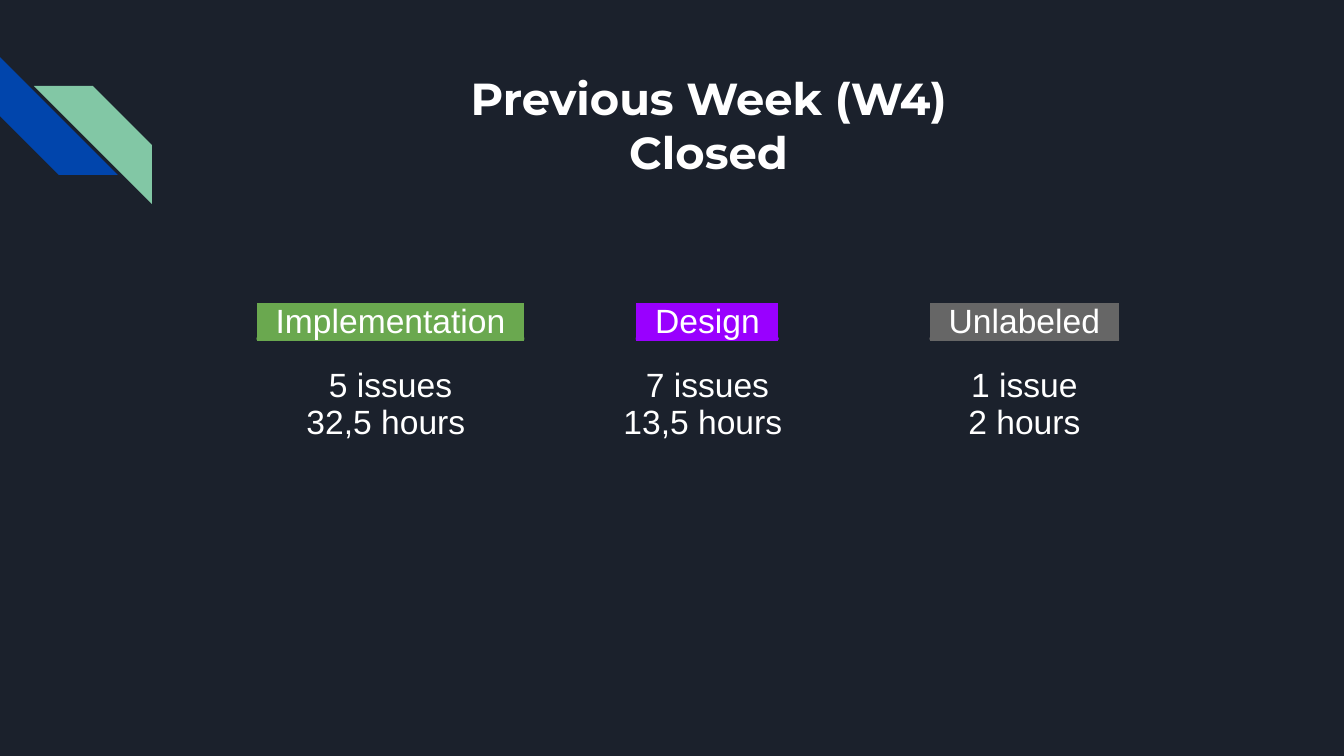
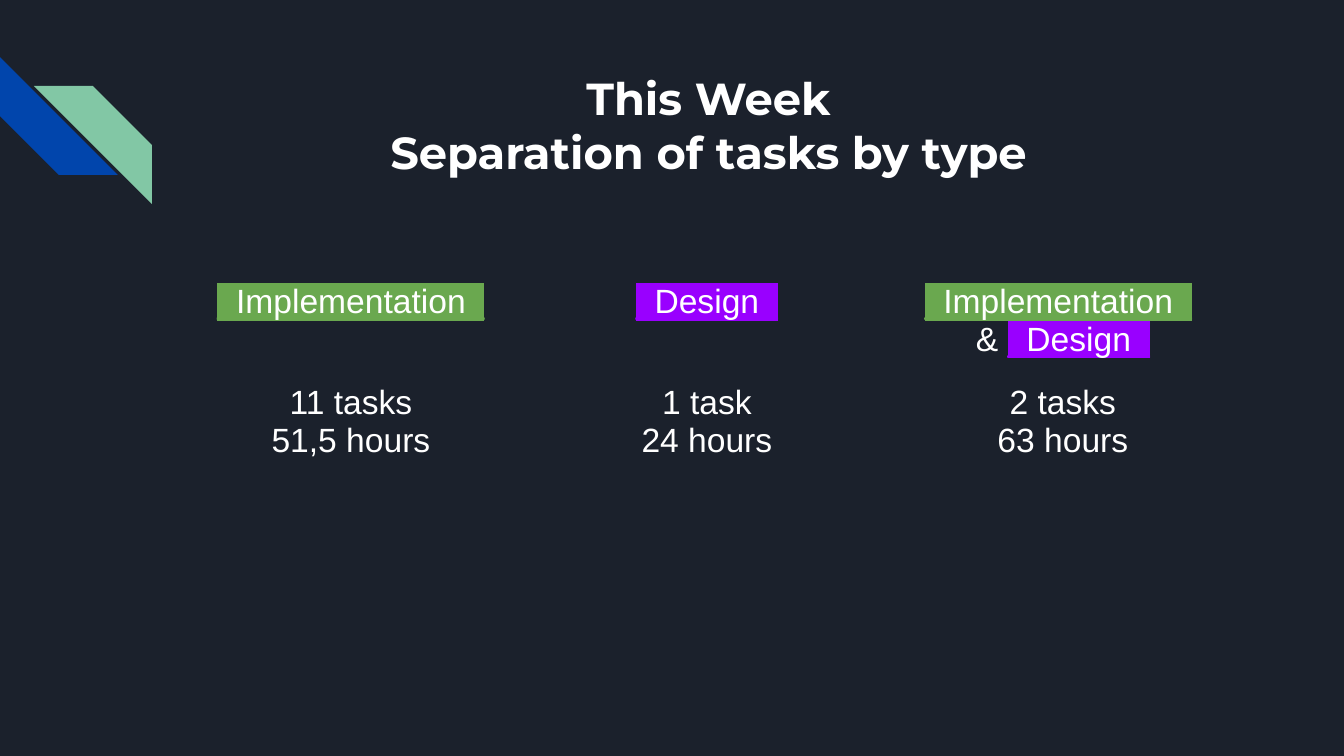
import lxml.etree
import pptx
import pptx.dml.color
import pptx.enum.shapes
import pptx.enum.text
import pptx.oxml.ns
import pptx.util

# Content: a header line is a list of words, and words found in TAGS are highlighted
TAGS = {"Implementation": "6AA84F", "Design": "9900FF", "Unlabeled": "666666"}
PAGES = [
    {
        "title": ["Previous Week (W4)", "Closed"],
        "table": {"left": 232, "top": 290, "column": 317},
        "headers": [[["Implementation"]], [["Design"]], [["Unlabeled"]]],
        "totals": [["5 issues", "32,5 hours "], ["7 issues", "13,5 hours "], ["1 issue", "2 hours"]],
    },
    {
        "title": ["This Week", "Separation of tasks by type"],
        "table": {"left": 173, "top": 270, "column": 356},
        "headers": [[["Implementation"]], [["Design"]], [["Implementation", " "], ["& ", "Design"]]],
        "totals": [["11 tasks", "51,5 hours"], ["1 task", "24 hours"], ["2 tasks", "63 hours"]],
    },
]

# Theme and shared geometry in px
THEME = {
    "background": "1B212C", "text": "FFFFFF", "blue": "0145AC", "green": "82C7A5",
    "title": {"name": "Montserrat", "size": pptx.util.Pt(24), "bold": True},
    "body": {"name": "Arial", "size": pptx.util.Pt(18), "bold": False},
}
WIDTH, HEIGHT = 1344, 756
TITLE_BOX = (191, 58, 1035, 134)
STRIPE, INSET, ROW = 118, 13, 57
STRIPES = [
    {"at": (0, 57), "color": "blue", "rotation": 270, "flip": "0"},
    {"at": (34, 86), "color": "green", "rotation": 0, "flip": "1"},
]
NO_GRID_STYLE = "{2D5ABB26-0587-4C30-8999-92F81FD0307C}"
qn = pptx.oxml.ns.qn


def px(length):
    return pptx.util.Emu(round(length * 914400 / 134.4))


def rgb(color):
    return pptx.dml.color.RGBColor.from_string(color)


def set_all(target, values):
    for name, value in values.items():
        setattr(target, name, value)


def inset(target):
    set_all(target, {"margin_" + side: px(INSET) for side in ("left", "top", "right", "bottom")})


def add_span(para, text, style, color, highlight=None):
    span = para.add_run()
    span.text = text
    span.font.color.rgb = rgb(color)
    set_all(span.font, THEME[style])
    if highlight:
        # The highlight has to follow the fill
        mark = lxml.etree.Element(qn("a:highlight"))
        lxml.etree.SubElement(mark, qn("a:srgbClr"), val=highlight)
        span._r.rPr.find(qn("a:solidFill")).addnext(mark)


def add_word(para, word, style):
    tag = TAGS.get(word)
    if tag:
        add_span(para, "_", style, tag, tag)
    add_span(para, word, style, THEME["text"], tag)
    if tag:
        add_span(para, "_", style, tag, tag)


def write(frame, lines, style):
    for index, words in enumerate(lines):
        para = frame.add_paragraph() if index else frame.paragraphs[0]
        para.alignment = pptx.enum.text.PP_ALIGN.CENTER
        for word in words:
            add_word(para, word, style)


def add_stripes(page, layout):
    """Draw the corner stripes and hand them to the layout, so all pages share them."""
    for stripe in STRIPES:
        shape = page.shapes.add_shape(
            pptx.enum.shapes.MSO_SHAPE.DIAGONAL_STRIPE, *map(px, (*stripe["at"], STRIPE, STRIPE)))
        shape.rotation = stripe["rotation"]
        shape.shadow.inherit = False
        shape.fill.solid()
        shape.fill.fore_color.rgb = rgb(THEME[stripe["color"]])
        shape.line.fill.background()
        shape.element.spPr.find(qn("a:xfrm")).set("flipH", stripe["flip"])
        layout.shapes.element.append(shape.element)


def add_title(page, lines):
    title = page.shapes.title
    set_all(title, dict(zip(("left", "top", "width", "height"), map(px, TITLE_BOX))))
    frame = title.text_frame
    inset(frame)
    set_all(frame, {"word_wrap": True, "vertical_anchor": pptx.enum.text.MSO_ANCHOR.TOP,
                    "auto_size": pptx.enum.text.MSO_AUTO_SIZE.NONE})
    write(frame, [[line] for line in lines], "title")


def add_summary(page, content):
    place = content["table"]
    rows = [content["headers"], [[[line] for line in cell] for cell in content["totals"]]]
    count = len(rows[0])
    table = page.shapes.add_table(
        len(rows), count, px(place["left"]), px(place["top"]),
        px(place["column"] * count), px(ROW * len(rows))).table
    set_all(table, {"first_row": False, "horz_banding": False})
    table._tbl.tblPr.find(qn("a:tableStyleId")).text = NO_GRID_STYLE
    for row, cells in enumerate(rows):
        for column, lines in enumerate(cells):
            cell = table.cell(row, column)
            cell.fill.background()
            inset(cell)
            write(cell.text_frame, lines, "body")


def main():
    deck = pptx.Presentation()
    set_all(deck, {"slide_width": px(WIDTH), "slide_height": px(HEIGHT)})
    fill = deck.slide_master.background.fill
    fill.solid()
    fill.fore_color.rgb = rgb(THEME["background"])
    layout = deck.slide_layouts.get_by_name("Title Only")
    for index, content in enumerate(PAGES):
        page = deck.slides.add_slide(layout)
        if index == 0:
            add_stripes(page, layout)
        add_title(page, content["title"])
        add_summary(page, content)
    deck.save("out.pptx")


if __name__ == "__main__":
    main()
